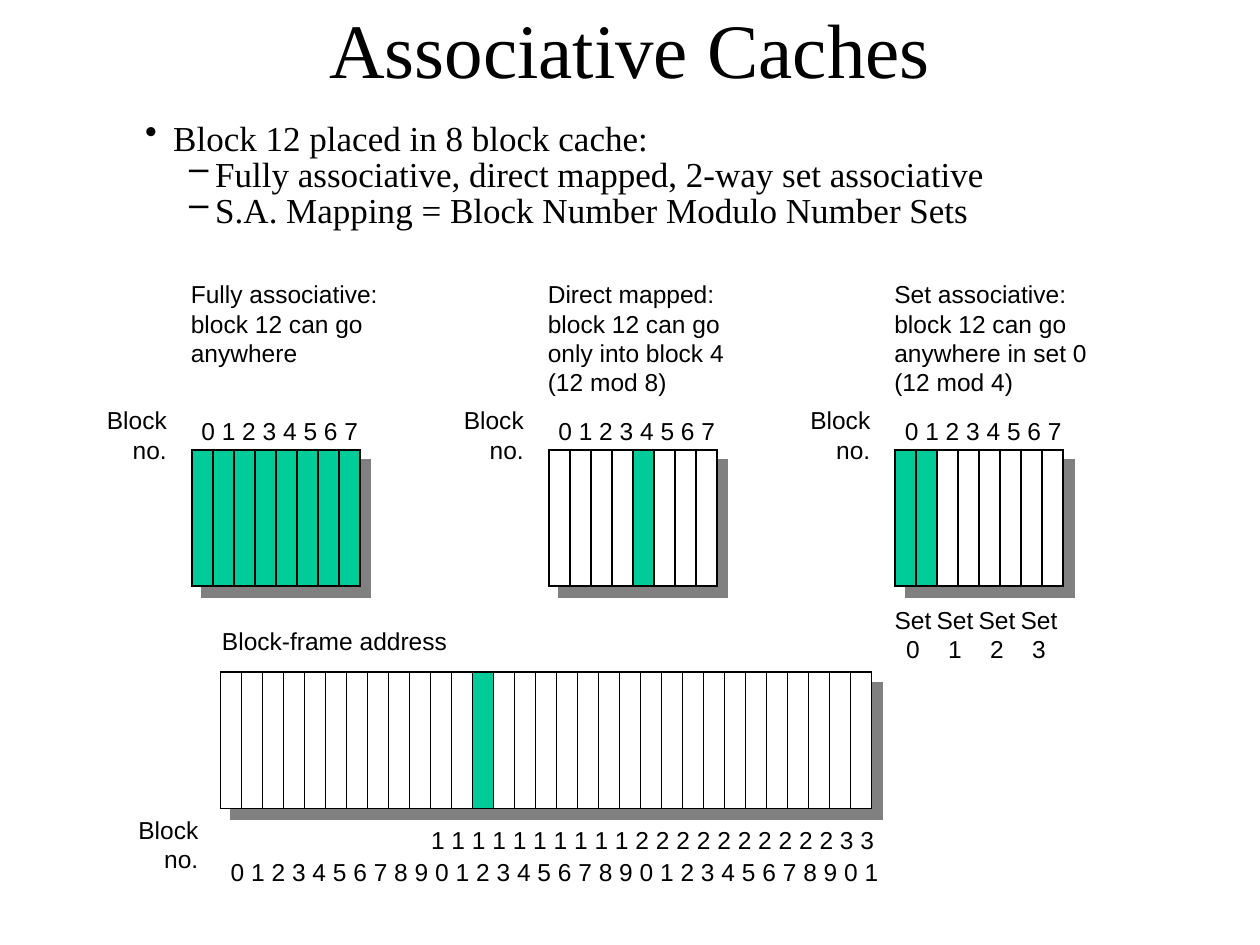
from lxml import etree
from pptx import Presentation
from pptx import util as u
from pptx.dml.color import RGBColor
from pptx.enum import shapes, text
from pptx.oxml.ns import qn

Pt = u.Pt
ALIGN = text.PP_ALIGN
BLACK, WHITE, GREEN, GREY = "000000", "FFFFFF", "00CC99", "808080"
CELL_WIDTH, CELL_HEIGHT = 12, 78
LABEL = {"name": "Arial", "size": Pt(14)}
BODY = {"name": "Times New Roman", "size": Pt(20)}
TITLE = {"name": "Times New Roman", "size": Pt(44)}


def color(hex_value):
    return RGBColor.from_string(hex_value)


def set_all(target, values):
    for name, value in values.items():
        setattr(target, name, value)


def add_text(container, box, lines, font=LABEL, align=ALIGN.LEFT, wrap=False,
             margins=(7.2, 3.6), anchor=text.MSO_ANCHOR.TOP):
    """Add a text box with one paragraph per line and return its paragraphs."""
    shape = container.add_textbox(*map(Pt, box))
    frame = shape.text_frame
    side, end = map(Pt, margins)
    set_all(frame, {"word_wrap": wrap, "vertical_anchor": anchor,
                    "margin_left": side, "margin_right": side,
                    "margin_top": end, "margin_bottom": end})
    frame.text = "\n".join(lines)
    for paragraph in frame.paragraphs:
        paragraph.alignment = align
        for run in paragraph.runs:
            set_all(run.font, font)
            run.font.color.rgb = color(BLACK)
    return frame.paragraphs


def add_bullet(paragraph, character, left, hanging):
    properties = paragraph._p.get_or_add_pPr()
    properties.set("marL", str(Pt(left)))
    properties.set("indent", str(-Pt(hanging)))
    bullet_color = etree.SubElement(properties, qn("a:buClr"))
    etree.SubElement(bullet_color, qn("a:srgbClr"), val=BLACK)
    etree.SubElement(properties, qn("a:buChar"), char=character)
    set_all(paragraph.font, BODY)


def add_shadow(shape):
    """Add a hard grey shadow down and to the right."""
    effects = etree.SubElement(shape._element.spPr, qn("a:effectLst"))
    shadow = etree.SubElement(effects, qn("a:outerShdw"), dist=str(Pt(8.5)),
                              dir="2700000", algn="ctr", rotWithShape="0")
    etree.SubElement(shadow, qn("a:srgbClr"), val=GREY)


def add_cells(container, left, top, count, filled):
    for index in range(count):
        cell = container.add_shape(
            shapes.MSO_SHAPE.RECTANGLE, Pt(left + index * CELL_WIDTH), Pt(top),
            Pt(CELL_WIDTH), Pt(CELL_HEIGHT))
        cell.fill.solid()
        cell.fill.fore_color.rgb = color(GREEN if index in filled else WHITE)
        cell.line.color.rgb = color(BLACK)
        cell.line.width = Pt(1)
        etree.SubElement(cell.line._ln, qn("a:miter"), lim="800000")
        add_shadow(cell)


def add_block_label(container, right, top):
    width = 52
    add_text(container, (right - width, top, width, 41), ["Block", "no."],
             align=ALIGN.RIGHT)


def add_cache(slide, left, caption, filled, sets=0):
    group = slide.shapes.add_group_shape().shapes
    add_text(group, (left, 156, 133, 75), caption, wrap=True)
    add_block_label(group, left + 0.5, 228)
    add_text(group, (left + 6, 234, 108, 24.5), [" ".join(map(str, range(8)))])
    add_cells(group, left + 7.6, 257, 8, filled)
    for index in range(sets):
        add_text(group, (left + index * 2 * CELL_WIDTH, 342, 35.5, 41),
                 ["Set", str(index)], align=ALIGN.CENTER)


def add_memory(slide):
    group = slide.shapes.add_group_shape().shapes
    numbers = range(32)
    add_cells(group, 126, 384, 31, {12})
    add_text(group, (119.75, 354, 146, 24.5), ["Block-frame address"])
    add_text(group, (239.25, 468, 272, 24.5),
             [" ".join(str(number // 10) for number in numbers[10:])])
    add_text(group, (124.75, 486, 389, 24.5),
             [" ".join(str(number % 10) for number in numbers)])
    add_block_label(group, 120.5, 462)


def add_heading(slide):
    add_text(slide.shapes, (54, -18, 612, 90), ["Associative Caches"], TITLE,
             ALIGN.CENTER, wrap=True, anchor=text.MSO_ANCHOR.MIDDLE)
    paragraphs = add_text(
        slide.shapes, (78, 72, 564, 61),
        ["Block 12 placed in 8 block cache:",
         "Fully associative, direct mapped, 2-way set associative",
         "S.A. Mapping = Block Number Modulo Number Sets"],
        BODY, wrap=True, margins=(5, 2.2))
    for index, paragraph in enumerate(paragraphs):
        paragraph.line_spacing = 0.65
        if index:
            set_all(paragraph, {"level": 1, "space_before": Pt(5)})
            add_bullet(paragraph, "–", 40, 15)
        else:
            add_bullet(paragraph, "•", 16, 16)


def main():
    presentation = Presentation()
    set_all(presentation, {"slide_width": Pt(720), "slide_height": Pt(540)})
    slide = presentation.slides.add_slide(presentation.slide_layouts[6])
    add_heading(slide)
    add_cache(slide, 102, ["Fully associative:", "block 12 can go anywhere"],
              set(range(8)))
    add_cache(slide, 306, ["Direct mapped:",
                           "block 12 can go only into block 4 (12 mod 8)"], {4})
    add_cache(slide, 504, ["Set associative:",
                           "block 12 can go anywhere in set 0 (12 mod 4)"],
              {0, 1}, sets=4)
    add_memory(slide)
    presentation.save("out.pptx")


if __name__ == "__main__":
    main()
